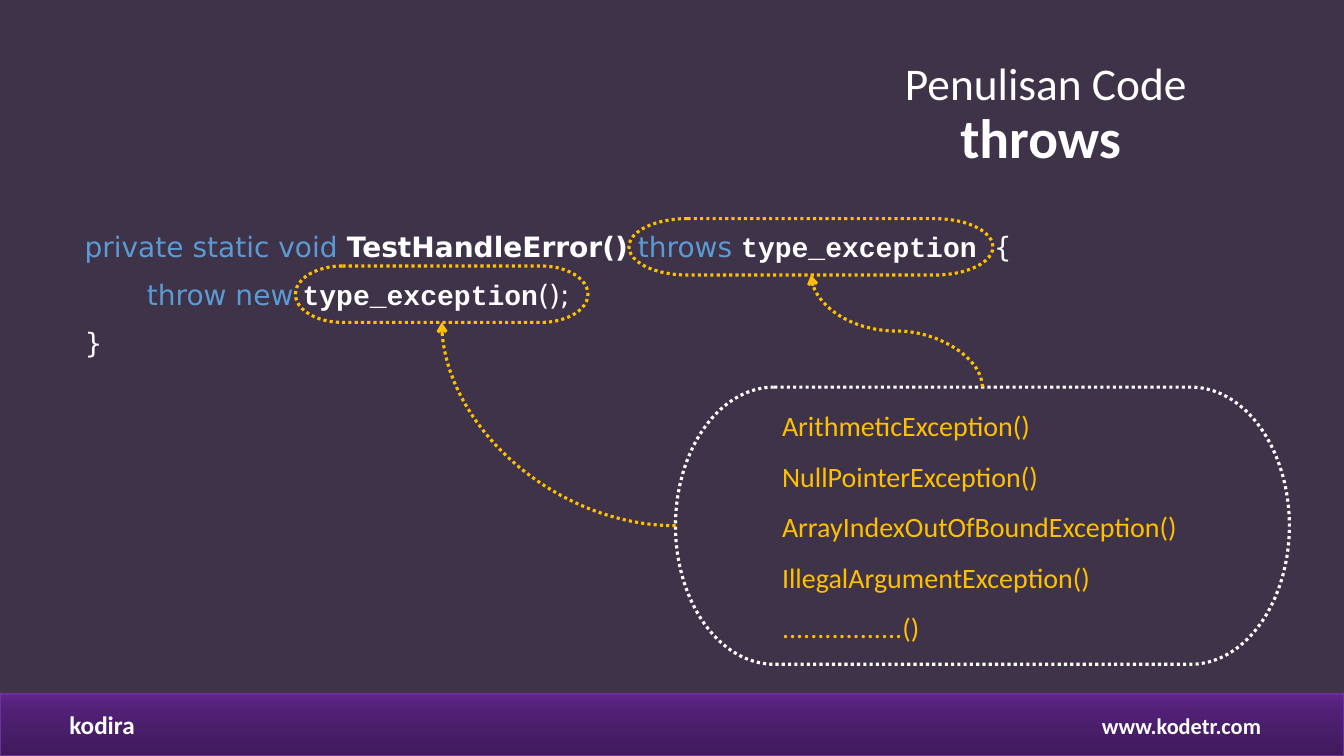
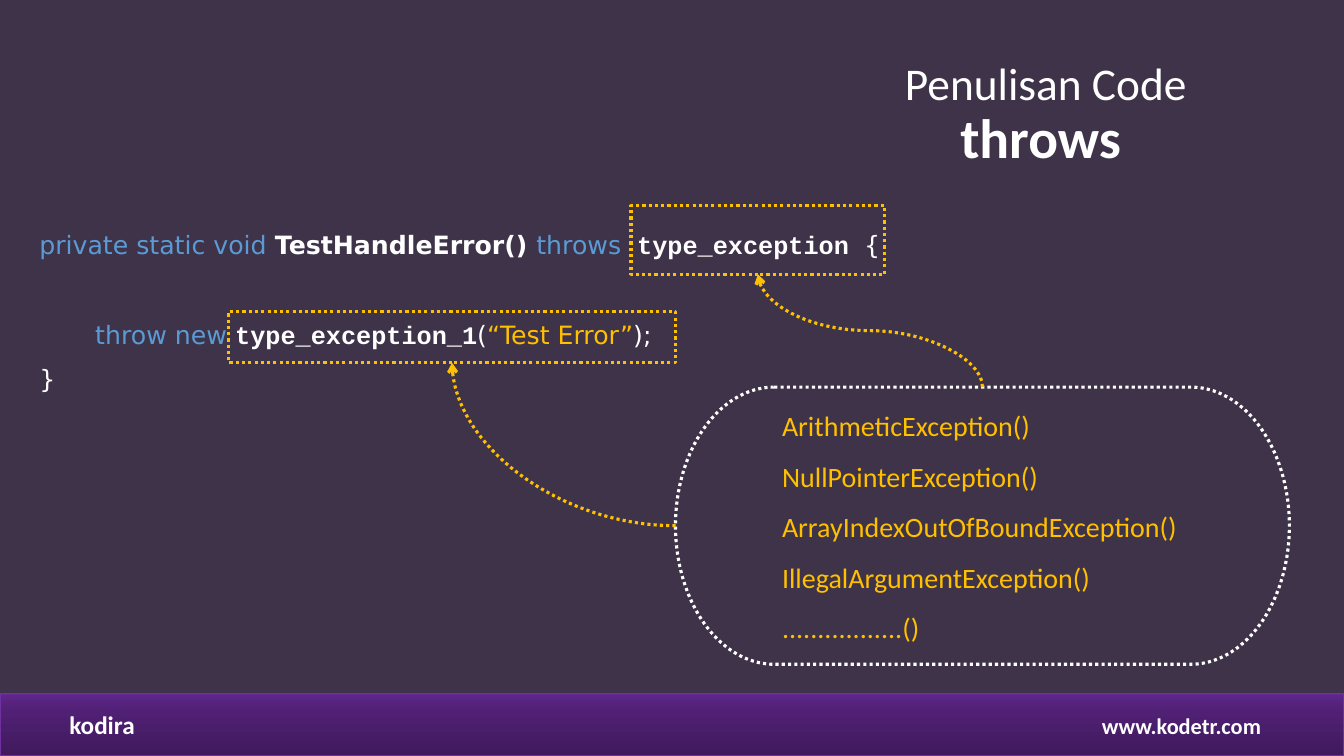
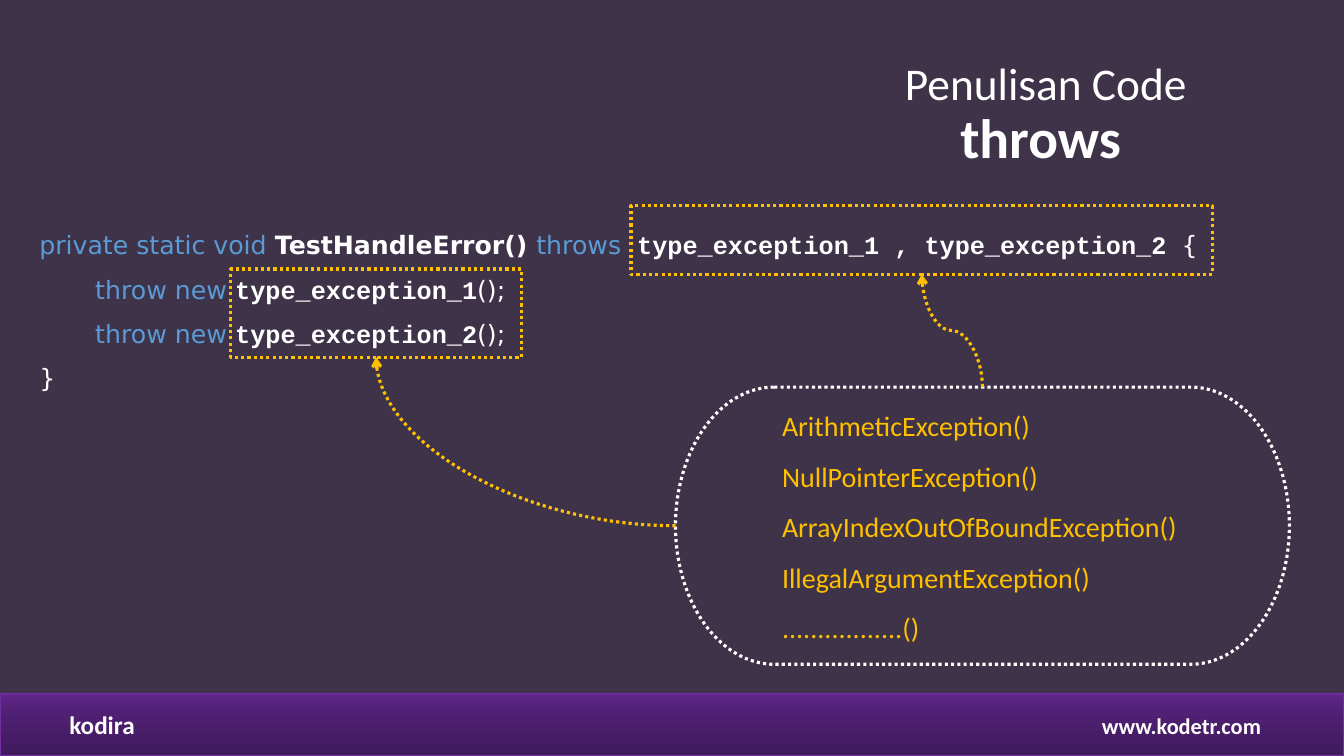
from dataclasses import dataclass

from lxml import etree
from pptx import Presentation
from pptx.dml.color import RGBColor
from pptx.enum import dml, shapes, text
from pptx.oxml.ns import qn
from pptx.util import Pt


@dataclass(frozen=True)
class Theme:
    background: str = "3E3348"
    white: str = "FFFFFF"
    amber: str = "FFC000"
    keyword: str = "5B9BD5"
    band_line: str = "7030A0"
    band_stops: tuple = ((0, "7B32B2"), (3, "5E2688"), (31, "4F2073"), (100, "401A5D"))
    body_font: str = "Calibri"
    code_font: str = "DejaVu Sans"
    mono_font: str = "Courier New"
    title_size: float = 32.4
    title_strong: float = 39.6
    list_size: float = 20
    brand_size: float = 18
    url_size: float = 16
    dotted_width: float = 2.25


@dataclass(frozen=True)
class Box:
    x: float
    y: float
    w: float
    h: float

    @property
    def lengths(self):
        return Pt(self.x), Pt(self.y), Pt(self.w), Pt(self.h)

    @property
    def top(self):
        return self.x + self.w / 2, self.y

    @property
    def left(self):
        return self.x, self.y + self.h / 2

    @property
    def bottom(self):
        return self.x + self.w / 2, self.y + self.h

    def inner(self, dx, dy, w, h):
        return Box(self.x + dx, self.y + dy, w, h)


T = Theme()
SLIDE = Box(0, 0, 960, 540)
TITLE = Box(589, 37, 316, 88.3)
BAND = Box(0, 495.2, 960, 44.8)
PANEL = Box(482.5, 276.5, 438.5, 198)
TERMINATOR = shapes.MSO_SHAPE.FLOWCHART_TERMINATOR
RECTANGLE = shapes.MSO_SHAPE.RECTANGLE

STYLES = {
    "keyword": dict(font=T.code_font, color=T.keyword),
    "method": dict(font=T.code_font, bold=True),
    "type": dict(font=T.mono_font, bold=True),
    "plain": dict(font=T.code_font),
    "string": dict(font=T.code_font, color=T.amber),
}
EXCEPTIONS = (
    "ArithmeticException()",
    "NullPointerException()",
    "ArrayIndexOutOfBoundException()",
    "IllegalArgumentException()",
    ".................()",
)


def add_run(p, content, size, font=T.body_font, color=T.white, bold=False):
    r = p.add_run()
    r.text = content
    r.font.size = Pt(size)
    r.font.name = font
    r.font.bold = bold
    r.font.color.rgb = RGBColor.from_string(color)


def add_text_frame(s, box):
    tf = s.shapes.add_textbox(*box.lengths).text_frame
    tf.word_wrap = True
    return tf


def add_paragraphs(tf, count):
    return [tf.paragraphs[0]] + [tf.add_paragraph() for _ in range(count - 1)]


def style_dotted(line, color):
    line.color.rgb = RGBColor.from_string(color)
    line.width = Pt(T.dotted_width)
    line.dash_style = dml.MSO_LINE.ROUND_DOT


def add_outline(s, box, kind, color):
    sp = s.shapes.add_shape(kind, *box.lengths)
    sp.shadow.inherit = False
    sp.fill.background()
    style_dotted(sp.line, color)


def add_curve(s, start, end, preset, degrees):
    cx, cy = (start[0] + end[0]) / 2, (start[1] + end[1]) / 2
    half_w, half_h = abs(end[0] - start[0]) / 2, abs(end[1] - start[1]) / 2
    if degrees == 270:
        half_w, half_h = half_h, -half_w
    cxn = s.shapes.add_connector(
        shapes.MSO_CONNECTOR.CURVE,
        Pt(cx - half_w), Pt(cy - half_h), Pt(cx + half_w), Pt(cy + half_h),
    )
    style_dotted(cxn.line, T.amber)
    sp_pr = cxn._element.spPr
    sp_pr.find(qn("a:xfrm")).set("rot", str(degrees * 60000))
    sp_pr.find(qn("a:prstGeom")).set("prst", preset)
    etree.SubElement(sp_pr.find(qn("a:ln")), qn("a:tailEnd"), type="arrow")
    etree.SubElement(sp_pr, qn("a:effectLst"))


def add_title(s, box):
    sp = s.shapes.title
    sp.left, sp.top, sp.width, sp.height = box.lengths
    tf = sp.text_frame
    tf.word_wrap = True
    tf.auto_size = text.MSO_AUTO_SIZE.NONE
    tf.vertical_anchor = text.MSO_ANCHOR.BOTTOM
    p = tf.paragraphs[0]
    p.alignment = text.PP_ALIGN.CENTER
    p.line_spacing = 0.9
    add_run(p, "Penulisan Code", T.title_size)
    p.add_line_break()
    br = p._p.find(qn("a:br"))
    etree.SubElement(br, qn("a:rPr"), sz=str(round(T.title_size * 100)))
    add_run(p, "throws", T.title_strong, bold=True)
    add_run(p, " ", T.title_size)


def add_band(s, box):
    sp = s.shapes.add_shape(RECTANGLE, *box.lengths)
    sp.shadow.inherit = False
    sp.fill.gradient()
    sp.fill.gradient_angle = 270
    stops = sp._element.spPr.find(".//" + qn("a:gsLst"))
    for old in list(stops):
        stops.remove(old)
    for position, color in T.band_stops:
        gs = etree.SubElement(stops, qn("a:gs"), pos=str(position * 1000))
        etree.SubElement(gs, qn("a:srgbClr"), val=color)
    sp.line.color.rgb = RGBColor.from_string(T.band_line)
    sp.line.width = Pt(1)
    for label, size, place in (
        ("www.kodetr.com", T.url_size, box.inner(780, 10.2, 175, 26.6)),
        ("kodira", T.brand_size, box.inner(42.5, 8.2, 197, 29)),
    ):
        add_run(add_text_frame(s, place).paragraphs[0], label, size, bold=True)


def add_code(s, box, lines, size, gaps):
    tf = add_text_frame(s, box)
    for i, (p, line) in enumerate(zip(add_paragraphs(tf, len(lines)), lines)):
        if i:
            p.space_before = Pt(gaps.get(i, 10))
        for content, style in line:
            add_run(p, content, size, **STYLES[style])


def add_exception_panel(s, box):
    tf = add_text_frame(s, box.inner(69, 0, 369.5, 189))
    for p, name in zip(add_paragraphs(tf, len(EXCEPTIONS)), EXCEPTIONS):
        p.line_spacing = 1.5
        add_run(p, name, T.list_size, color=T.amber)
    add_outline(s, box, TERMINATOR, T.white)


def add_markers(s, panel, kind, declared, thrown):
    for box in (declared, thrown):
        add_outline(s, box, kind, T.amber)
    add_curve(s, panel.top, declared.bottom, "curvedConnector3", 270)
    add_curve(s, panel.left, thrown.bottom, "curvedConnector2", 180)


def signature(throws, types):
    return [
        ("private static void ", "keyword"),
        ("TestHandleError() ", "method"),
        (throws, "keyword"),
        (types, "type"),
        ("{", "plain"),
    ]


def throw_line(name, argument=""):
    line = [("       throw new ", "keyword"), (name, "type")]
    if argument:
        return line + [("(", "plain"), (argument, "string"), (");", "plain")]
    return line + [("();", "plain")]


CLOSING = [("}", "plain")]
WIDE_CODE = Box(21, 160.6, 918, 130)
CODE_SLIDES = (
    dict(
        code=Box(53.3, 160.6, 819, 110),
        size=20,
        lines=[signature("throws ", "type_exception "), throw_line("type_exception"), CLOSING],
        kind=TERMINATOR,
        declared=Box(449.3, 156.2, 260, 40.3),
        thrown=Box(211, 190, 209, 40.3),
    ),
    dict(
        code=WIDE_CODE,
        size=18,
        lines=[
            signature("throws  ", "type_exception "),
            throw_line("type_exception_1", "“Test Error”"),
            CLOSING,
        ],
        gaps={1: 42},
        kind=RECTANGLE,
        declared=Box(450.7, 147, 181.4, 49),
        thrown=Box(163.4, 222.5, 319, 36.7),
    ),
    dict(
        code=WIDE_CODE,
        size=18,
        lines=[
            signature("throws  ", "type_exception_1 , type_exception_2 "),
            throw_line("type_exception_1"),
            throw_line("type_exception_2"),
            CLOSING,
        ],
        kind=RECTANGLE,
        declared=Box(450.7, 147, 415.4, 49),
        thrown=Box(164.9, 192.2, 207.4, 63),
    ),
)


def add_code_slide(prs, code, size, lines, kind, declared, thrown, gaps=None):
    s = prs.slides.add_slide(prs.slide_layouts.get_by_name("Title Only"))
    add_title(s, TITLE)
    add_band(s, BAND)
    add_code(s, code, lines, size, gaps or {})
    add_exception_panel(s, PANEL)
    add_markers(s, PANEL, kind, declared, thrown)


def main():
    prs = Presentation()
    prs.slide_width, prs.slide_height = Pt(SLIDE.w), Pt(SLIDE.h)
    fill = prs.slide_master.background.fill
    fill.solid()
    fill.fore_color.rgb = RGBColor.from_string(T.background)
    for content in CODE_SLIDES:
        add_code_slide(prs, **content)
    prs.save("out.pptx")


if __name__ == "__main__":
    main()
